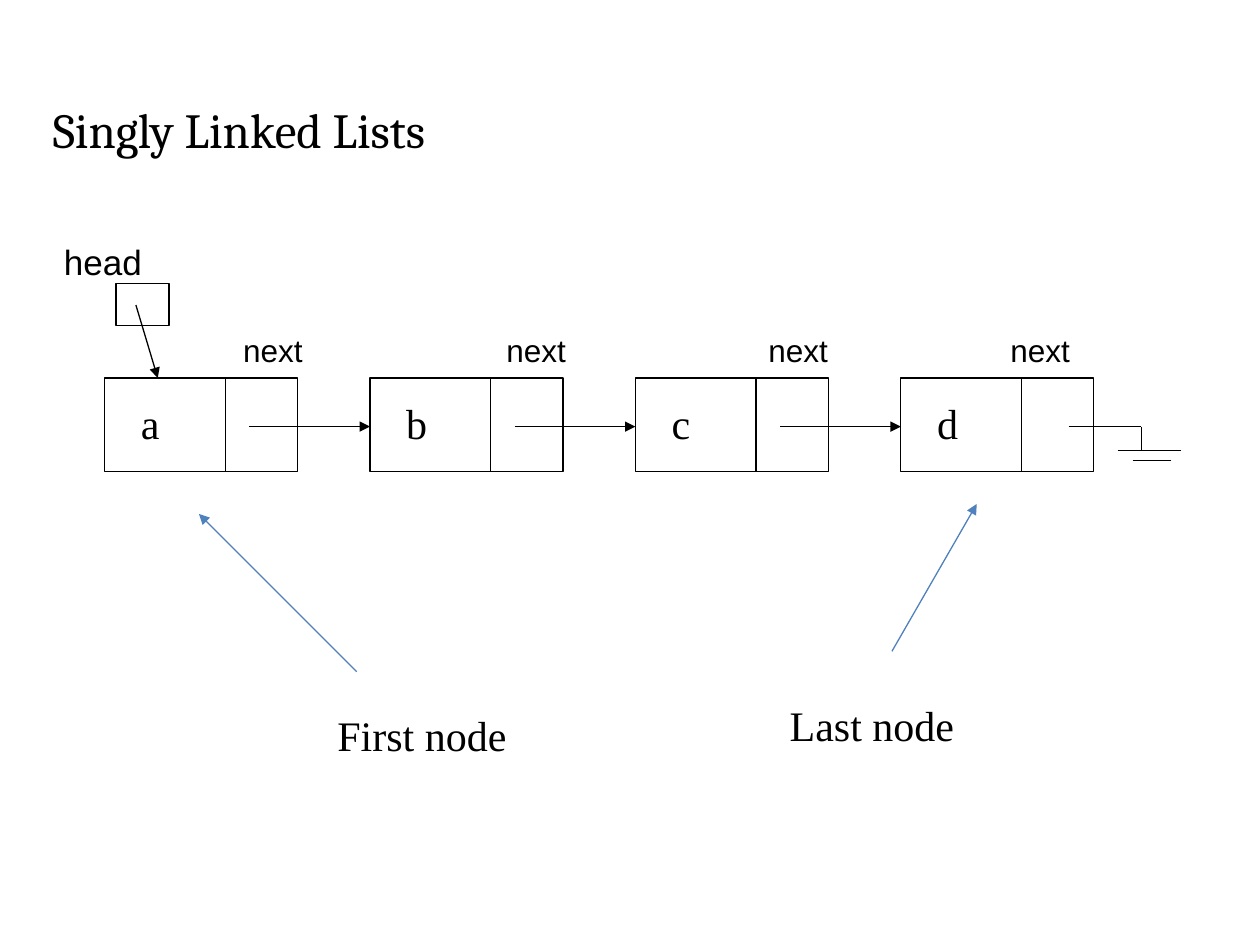
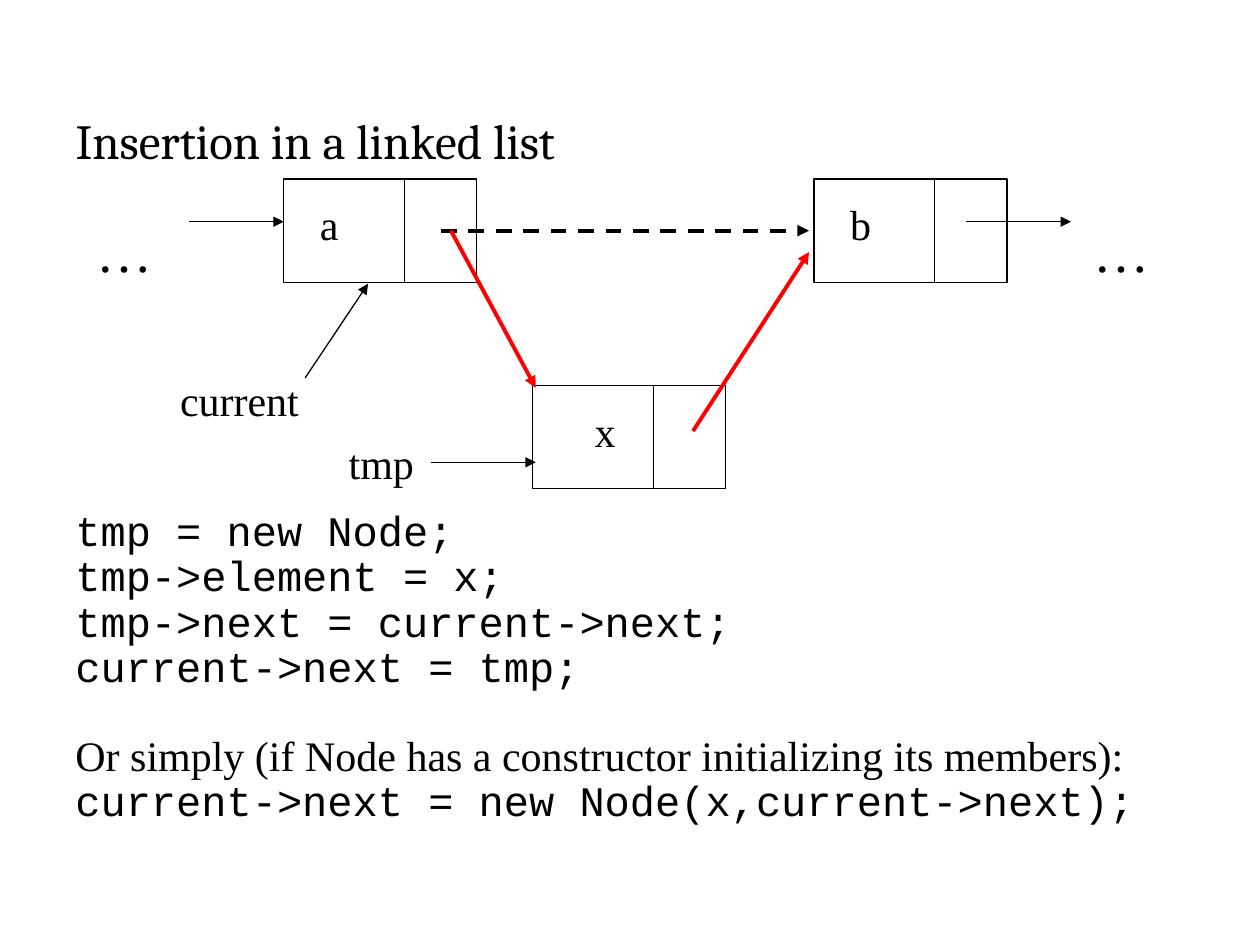
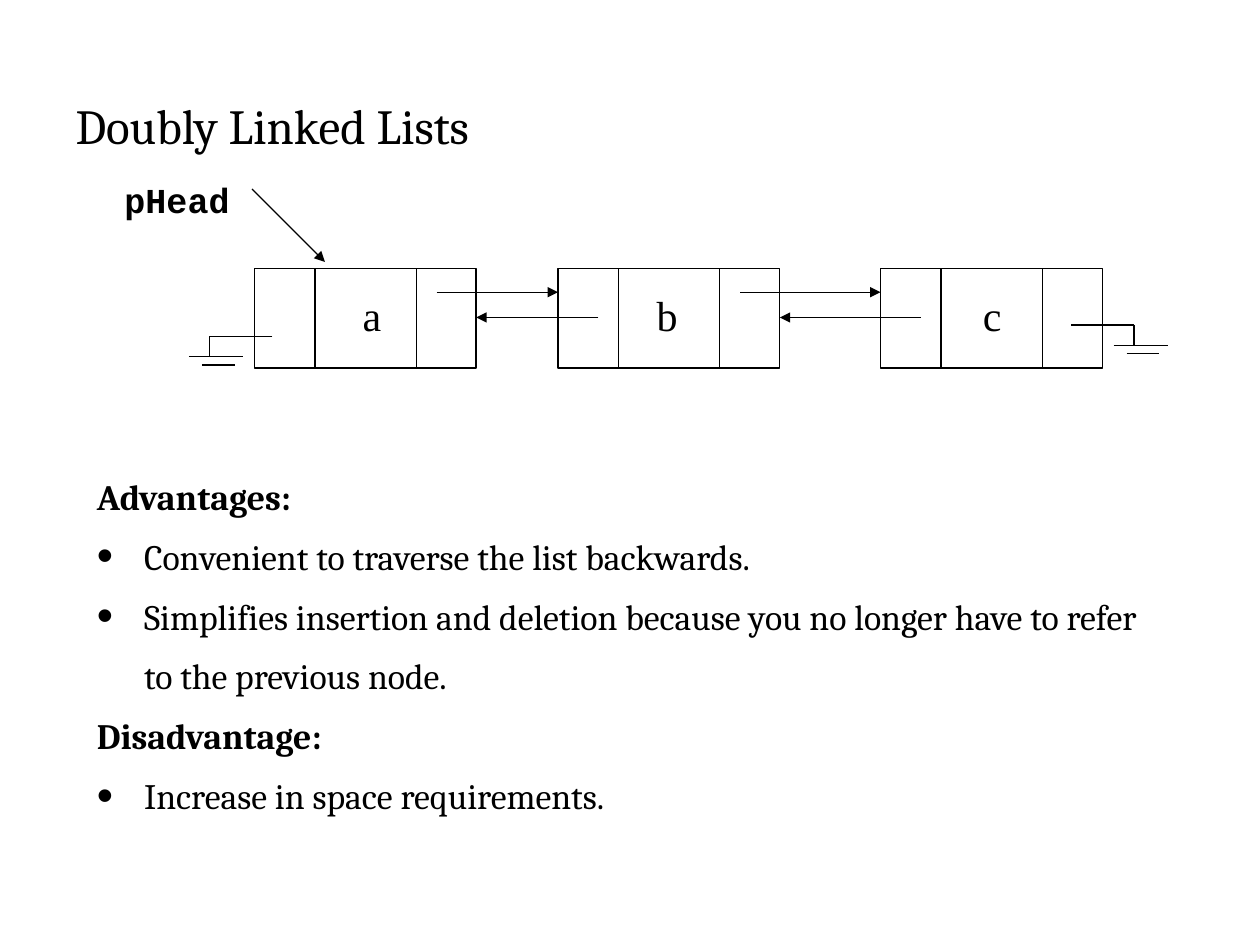
from lxml import etree
from pptx import Presentation
from pptx import util as u
from pptx.dml.color import RGBColor
from pptx.enum import dml, shapes, text
from pptx.oxml import ns

BLACK, WHITE, RED, BLUE = "000000", "FFFFFF", "FF0000", "4F81BD"
HEADING, SERIF, SANS, MONO = "Cambria", "Times New Roman", "Arial", "Courier New"
TITLE_ONLY, TITLE_BODY = 5, 1
HAIRLINE, THICK = 0.75, 2.25


def rgb(code):
    """Turn a hex string into a colour."""
    return RGBColor.from_string(code)


def add_xml(parent, tag, **attributes):
    """Append a DrawingML element to a parent element."""
    return etree.SubElement(parent, ns.qn(tag), attributes)


def place(shape, left, top, width, height):
    """Move and size a shape, in centimetres."""
    box = {"left": left, "top": top, "width": width, "height": height}
    for side, length in box.items():
        setattr(shape, side, u.Cm(length))


def set_format(target, values):
    """Set each format value on its target."""
    for attribute, value in values.items():
        setattr(target, attribute, value)


def write(paragraph, words, size, font, bold=False):
    """Put one formatted run in a paragraph."""
    run = paragraph.add_run()
    run.text = words
    set_format(run.font, {"size": u.Pt(size), "name": font, "bold": bold})
    run.font.color.rgb = rgb(BLACK)


def prepare_frame(frame):
    """Make a text frame wrap and start at its top."""
    set_format(frame, {"word_wrap": True,
                       "auto_size": text.MSO_AUTO_SIZE.NONE,
                       "vertical_anchor": text.MSO_ANCHOR.TOP})


def start_slide(deck, layout, title, left, top):
    """Add a slide with its title placed and formatted."""
    slide = deck.slides.add_slide(deck.slide_layouts[layout])
    heading = slide.shapes.title
    place(heading, left, top, 22.86, 2.54)
    prepare_frame(heading.text_frame)
    paragraph = heading.text_frame.paragraphs[0]
    paragraph.alignment = text.PP_ALIGN.LEFT
    write(paragraph, title, 28, HEADING)
    return slide


def label(slide, words, box, size=24, font=SERIF, bold=False, centred=False):
    """Add a one-line text box."""
    caption = slide.shapes.add_textbox(*map(u.Cm, box))
    prepare_frame(caption.text_frame)
    paragraph = caption.text_frame.paragraphs[0]
    paragraph.alignment = text.PP_ALIGN.CENTER if centred else text.PP_ALIGN.LEFT
    write(paragraph, words, size, font, bold)


def line(slide, start, end, color=BLACK, width=HAIRLINE, dashed=False, arrow=False):
    """Draw a straight line, with an arrowhead at its end if asked."""
    stroke = slide.shapes.add_connector(
        shapes.MSO_CONNECTOR.STRAIGHT, *map(u.Cm, (*start, *end)))
    stroke.line.color.rgb = rgb(color)
    stroke.line.width = u.Pt(width)
    if dashed:
        stroke.line.dash_style = dml.MSO_LINE.DASH
    if arrow:
        add_xml(stroke.line._get_or_add_ln(), "a:tailEnd", type="triangle")
    add_xml(stroke._element.spPr, "a:effectLst")


def arrow(slide, start, end, **style):
    """Draw a line that points at its end."""
    line(slide, start, end, arrow=True, **style)


def cell(slide, box, fill=WHITE):
    """Draw an outlined rectangle, unfilled when fill is None."""
    block = slide.shapes.add_shape(shapes.MSO_SHAPE.RECTANGLE, *map(u.Cm, box))
    block.shadow.inherit = False
    if fill:
        block.fill.solid()
        block.fill.fore_color.rgb = rgb(fill)
    else:
        block.fill.background()
    block.line.color.rgb = rgb(BLACK)
    block.line.width = u.Pt(HAIRLINE)


def node(slide, left, top, width, height, dividers):
    """Draw a list node split by vertical dividers."""
    cell(slide, (left, top, width, height))
    for offset in dividers:
        line(slide, (left + offset, top), (left + offset, top + height))


def single_node(slide, letter, left, top, height, centred=False):
    """Draw a node with an element and one pointer."""
    node(slide, left, top, 3.89, height, [2.43])
    label(slide, letter, (left + 0.48, top + 0.27, 1.96, height - 0.5),
          centred=centred)


def ground(slide, start, stem, scale=1):
    """Draw a null pointer: a lead, a stem and two bars."""
    x, y = start
    drop = y + 0.41 * scale
    line(slide, start, (stem, y))
    line(slide, (stem, y), (stem, drop))
    for shift, length, depth in ((0.41, 1.09, 0.41), (0.15, 0.66, 0.58)):
        bar_left, bar_y = stem - shift * scale, y + depth * scale
        line(slide, (bar_left, bar_y), (bar_left + length * scale, bar_y))


def singly_linked(deck):
    """Build the slide on singly linked lists."""
    slide = start_slide(deck, TITLE_ONLY, "Singly Linked Lists", 0.81, 1.88)
    first, pitch, top, pointer_y = 2.11, 5.35, 7.62, 8.6
    next_lefts = (4.65, 9.96, 15.24, 20.12)
    for i, (letter, next_left) in enumerate(zip("abcd", next_lefts)):
        single_node(slide, letter, first + i * pitch, top, 1.88)
        label(slide, "next", (next_left, 6.55, 2.34, 1.02), 18, SANS)
    for i in range(3):
        left = first + i * pitch
        arrow(slide, (left + 2.92, pointer_y), (left + pitch, pointer_y))
    ground(slide, (21.54, pointer_y), 23.01, 1.17)

    label(slide, "head", (1.04, 4.72, 6.99, 1.09), 20, SANS)
    cell(slide, (2.34, 5.72, 1.07, 0.84), fill=None)
    arrow(slide, (2.74, 6.15), (3.18, top))

    arrow(slide, (7.19, 13.54), (4.01, 10.36), color=BLUE)
    arrow(slide, (17.98, 13.13), (19.69, 10.16), color=BLUE)
    label(slide, "First node", (6.55, 14.17, 4.88, 1.27))
    label(slide, "Last node", (15.67, 13.97, 5.51, 1.27))


def insertion(deck):
    """Build the slide on inserting a node."""
    slide = start_slide(deck, TITLE_ONLY, "Insertion in a linked list", 1.27, 2.11)
    single_node(slide, "a", 5.72, 3.61, 2.08)
    single_node(slide, "b", 16.41, 3.61, 2.08)
    single_node(slide, "x", 10.74, 7.77, 2.08, centred=True)

    arrow(slide, (8.89, 4.65), (16.31, 4.65), width=THICK, dashed=True)
    arrow(slide, (3.81, 4.47), (5.72, 4.47))
    arrow(slide, (19.48, 4.47), (21.59, 4.47))
    for left in (1.7, 21.79):
        label(slide, "…", (left, 4.24, 2.11, 1.6), 32)

    arrow(slide, (6.15, 7.62), (7.42, 5.72))
    arrow(slide, (8.69, 9.32), (10.8, 9.32))
    label(slide, "current", (3.38, 7.42, 3.81, 1.27))
    label(slide, "tmp", (6.78, 8.69, 4.01, 1.27))
    arrow(slide, (9.09, 4.65), (10.8, 7.82), color=RED, width=THICK)
    arrow(slide, (13.97, 8.69), (16.31, 5.08), color=RED, width=THICK)

    code = slide.shapes.add_textbox(*map(u.Cm, (1.27, 10.16, 22.66, 6.65)))
    frame = code.text_frame
    prepare_frame(frame)
    steps = (
        ("tmp = new Node;", MONO, 0),
        ("tmp->element = x;", MONO, 0),
        ("tmp->next = current->next;", MONO, 0),
        ("current->next = tmp;", MONO, 0),
        ("Or simply (if Node has a constructor initializing its members):", SERIF, 25),
        ("current->next = new Node(x,current->next);", MONO, 0),
    )
    for i, (words, font, gap) in enumerate(steps):
        paragraph = frame.add_paragraph() if i else frame.paragraphs[0]
        set_format(paragraph, {"line_spacing": 0.9, "space_before": u.Pt(gap)})
        write(paragraph, words, 24, font)


def fill_body(body, items):
    """Write headings and bulleted points in the body placeholder."""
    frame = body.text_frame
    prepare_frame(frame)
    for i, (words, is_heading) in enumerate(items):
        paragraph = frame.add_paragraph() if i else frame.paragraphs[0]
        set_format(paragraph, {"line_spacing": 1.4, "space_before": u.Pt(0),
                               "alignment": text.PP_ALIGN.LEFT})
        properties = paragraph._p.get_or_add_pPr()
        hang = u.Cm(0.95)
        properties.set("marL", str(hang))
        properties.set("indent", str(-hang))
        if is_heading:
            add_xml(properties, "a:buNone")
        else:
            add_xml(properties, "a:buSzPct", val="130000")
            add_xml(properties, "a:buFont", typeface=SANS)
            add_xml(properties, "a:buChar", char="•")
        write(paragraph, words, 20.4, HEADING, is_heading)


def doubly_linked(deck):
    """Build the slide on doubly linked lists."""
    slide = start_slide(deck, TITLE_BODY, "Doubly Linked Lists", 1.27, 1.8)
    body = slide.placeholders[1]
    place(body, 1.7, 9.09, 22.02, 7.42)
    fill_body(body, (
        ("Advantages:", True),
        ("Convenient to traverse the list backwards.", False),
        ("Simplifies insertion and deletion because you no longer have to refer "
         "to the previous node.", False),
        ("Disadvantage:", True),
        ("Increase in space requirements.", False),
    ))

    node_lefts, width = (5.13, 11.25, 17.75), 4.47
    for left in node_lefts:
        node(slide, left, 5.41, width, 2.01, [1.22, 3.26])
    for left, following in zip(node_lefts, node_lefts[1:]):
        arrow(slide, (left + 3.67, 5.89), (following, 5.89))
        arrow(slide, (following + 0.81, 6.4), (left + width, 6.4))
    for letter, left in zip("abc", (6.55, 12.5, 19.05)):
        label(slide, letter, (left, 5.72, 1.9, 1.27), centred=True)

    label(slide, "pHead", (2.26, 3.48, 3.61, 1.5), 20, MONO, bold=True)
    arrow(slide, (5.08, 3.81), (6.55, 5.28))
    ground(slide, (21.59, 6.55), 22.86)
    ground(slide, (5.49, 6.78), 4.22)


def main():
    """Build and save the deck."""
    deck = Presentation()
    set_format(deck, {"slide_width": u.Cm(25.4), "slide_height": u.Cm(19.05)})
    singly_linked(deck)
    insertion(deck)
    doubly_linked(deck)
    deck.save("out.pptx")


main()
